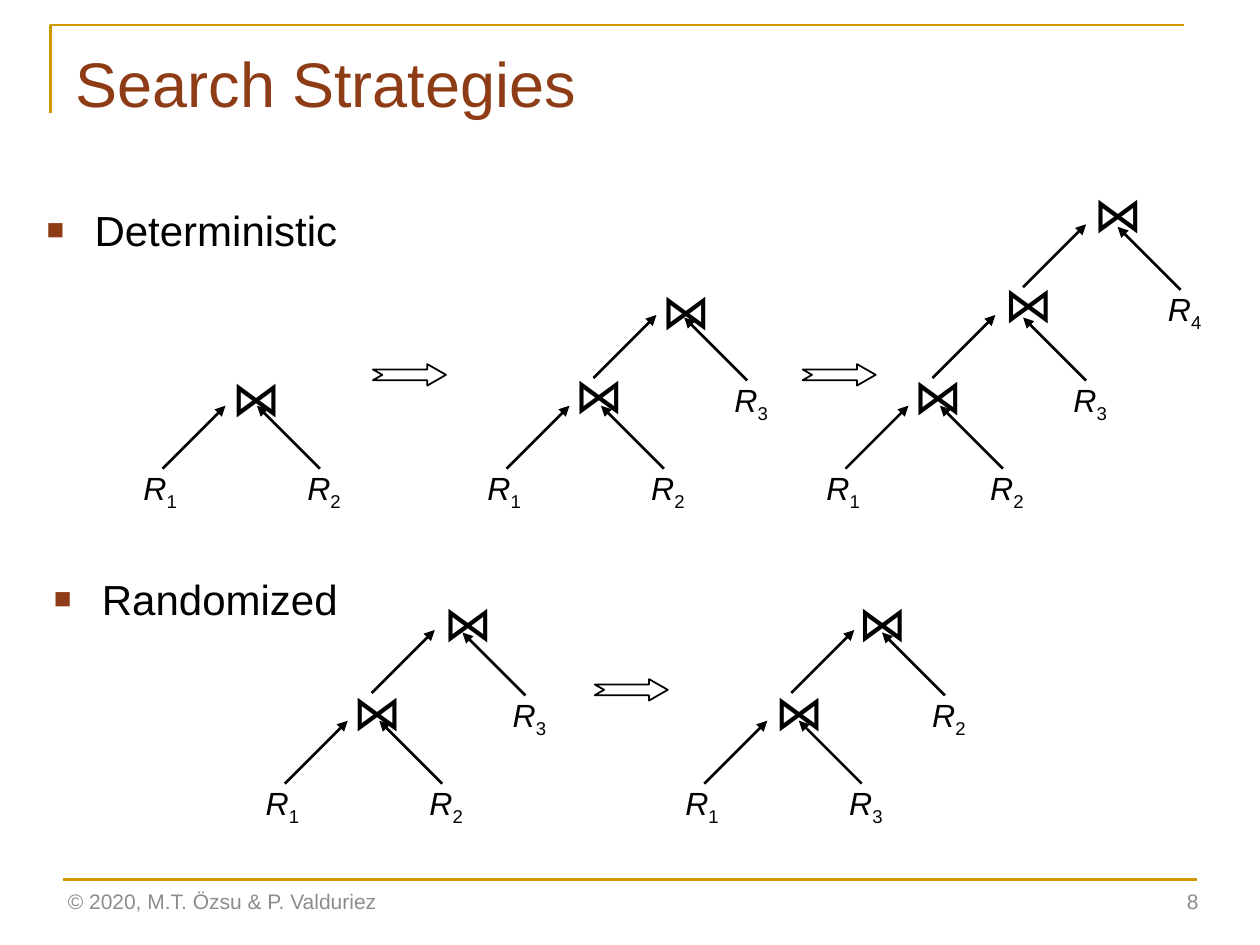
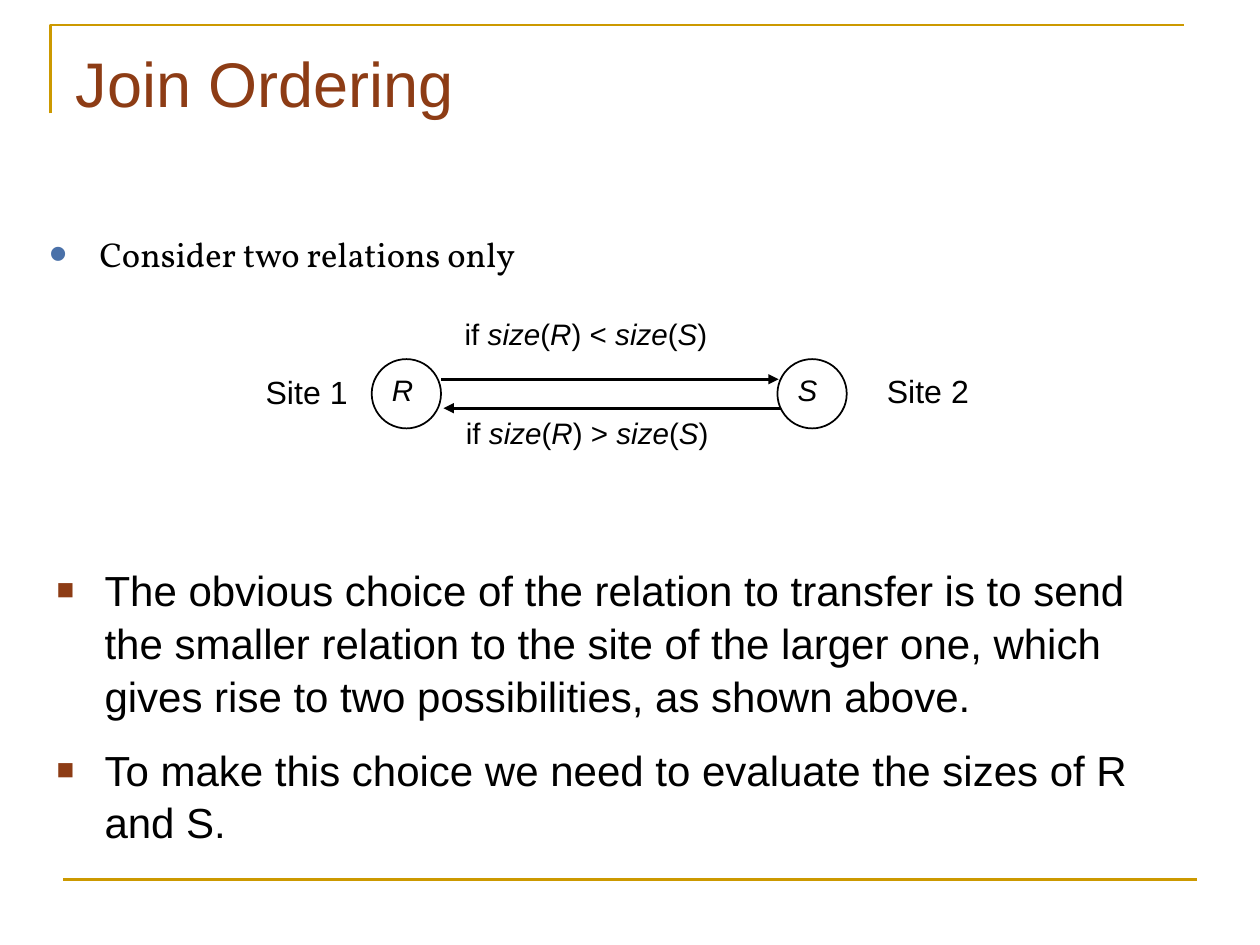
from pptx import Presentation
from pptx import util as u
from pptx.dml.color import RGBColor
from pptx.enum import shapes, text
from pptx.oxml import ns
from lxml import etree

RUST = RGBColor(0x8D, 0x3C, 0x15)
GOLD = RGBColor(0xCC, 0x99, 0x00)
BLACK = RGBColor(0x00, 0x00, 0x00)
GREY = RGBColor(0x8C, 0x8C, 0x8C)
BLUE = RGBColor(0x4A, 0x71, 0xA9)

deck = Presentation()
deck.slide_width, deck.slide_height = u.Inches(10), u.Inches(7.5)
CELL = deck.slide_width // 100
SIDES = ("left", "top", "width", "height")
LEFT, RIGHT = text.PP_ALIGN.LEFT, text.PP_ALIGN.RIGHT
TOP, MID = text.MSO_ANCHOR.TOP, text.MSO_ANCHOR.MIDDLE
GROW, FIXED = text.MSO_AUTO_SIZE.SHAPE_TO_FIT_TEXT, text.MSO_AUTO_SIZE.NONE
SQUARE = {"char": "■", "tint": RUST, "size": 70, "hang": 3.8}
ROUND = {"char": "•", "tint": BLUE, "size": 150, "hang": 4}


def write(page, spot, lines, size, box=None, tint=BLACK, face="Arial", dot=None,
          align=LEFT, pad=(1, 0.5), wrap=False, anchor=TOP, gap=0, lead=1.0):
    box = box or page.shapes.add_textbox(0, 0, 0, 0)
    frame = box.text_frame
    look = {"word_wrap": wrap, "auto_size": FIXED if wrap else GROW,
            "vertical_anchor": anchor,
            "margin_left": int(pad[0] * CELL), "margin_right": int(pad[0] * CELL),
            "margin_top": int(pad[1] * CELL), "margin_bottom": int(pad[1] * CELL)}
    for key, value in look.items():
        setattr(frame, key, value)
    for side, value in zip(SIDES, spot):
        setattr(box, side, int(value * CELL))
    for row, line in enumerate(lines):
        para = frame.add_paragraph() if row else frame.paragraphs[0]
        style = {"alignment": align, "space_before": u.Pt(gap), "line_spacing": lead}
        for key, value in style.items():
            setattr(para, key, value)
        if dot:
            props = para._p.get_or_add_pPr()
            props.set("marL", str(int(dot["hang"] * CELL)))
            props.set("indent", str(int(-dot["hang"] * CELL)))
            tone = etree.SubElement(props, ns.qn("a:buClr"))
            etree.SubElement(tone, ns.qn("a:srgbClr"), val=str(dot["tint"]))
            etree.SubElement(props, ns.qn("a:buSzPct"), val=str(dot["size"] * 1000))
            etree.SubElement(props, ns.qn("a:buFont"), typeface="Arial")
            etree.SubElement(props, ns.qn("a:buChar"), char=dot["char"])
        for turn, part in enumerate(line.split("|")):
            if not part:
                continue
            run = para.add_run()
            run.text = part.lstrip("_")
            font = {"name": face, "size": u.Pt(size), "italic": turn % 2 == 1}
            for key, value in font.items():
                setattr(run.font, key, value)
            run.font.color.rgb = tint
            props = run._r.get_or_add_rPr()
            if part.startswith("_"):
                props.set("baseline", "-25000")
            if face != "Arial":
                etree.SubElement(props, ns.qn("a:ea"), typeface=face)


def link(page, ends, tint=BLACK, tip=True):
    line = page.shapes.add_connector(
        shapes.MSO_CONNECTOR.STRAIGHT, *[int(n * CELL) for n in ends])
    line.line.color.rgb = tint
    line.line.width = u.Pt(1.5)
    if tip:
        etree.SubElement(line.line._get_or_add_ln(), ns.qn("a:tailEnd"), type="triangle")
    etree.SubElement(line._element.spPr, ns.qn("a:effectLst"))
    return line


base = deck.slide_layouts[1]
plan, order = [deck.slides.add_slide(base) for _ in range(2)]

pen = plan.shapes.build_freeform(4.2, 9.2, CELL)
pen.add_line_segments([(4.2, 2.5), (94.2, 2.5)], close=False)
bend = pen.convert_to_shape()
bend.fill.background()
bend.line.color.rgb = GOLD
bend.line.width = u.Pt(1.5)
bend.shadow.inherit = False
rule = link(plan, (5, 69.8, 95, 69.8), GOLD, False)
for part in (bend, rule):
    base.shapes._spTree.append(part._element)

heads = [(plan, "Search Strategies"), (order, "Join Ordering")]
for page, name in heads:
    write(page, (5, 3, 90, 12.5), [name], 36, page.shapes.title, RUST, wrap=True)

lists = [
    (plan, (2.7, 15.5, 26.8, 5.1), ["Deterministic"], plan.placeholders[1]),
    (plan, (3.3, 44.8, 26.8, 5.1), ["Randomized"], None),
    (order, (3.5, 44.1, 91.4, 22.1), [
        "The obvious choice of the relation to transfer is to send the smaller relation "
        "to the site of the larger one, which gives rise to two possibilities, as shown above.",
        "To make this choice we need to evaluate the sizes of R and S."],
     order.placeholders[1]),
]
for page, spot, lines, box in lists:
    write(page, spot, lines, 24, box, dot=SQUARE, wrap=True, gap=12, lead=1.05)

trees = [
    (10.4, 36.7, "12", [(17.4, 28.7)]),
    (37.7, 36.7, "123", [(44.6, 28.4), (51.5, 21.8)]),
    (64.6, 36.7, "1234", [(71.5, 28.5), (78.7, 21.2), (85.8, 14.1)]),
    (20.1, 61.7, "123", [(27, 53.6), (34.2, 46.5)]),
    (53.4, 61.7, "132", [(60.5, 53.6), (67.1, 46.5)]),
]
steps = [(2.5, 15, 0, 0), (9.4, 21.6, 7.2, 7), (16.6, 29.1, 14.4, 14.2)]
for x, y, names, joins in trees:
    tags = [(x, y)]
    for (near, far, up, rise), join in zip(steps, joins):
        foot = y + 0.5
        link(plan, (x + near, foot - up, x + near + 5, foot - up - 5))
        link(plan, (x + far, foot - rise, x + far - 5, foot - rise - 5))
        tags.append((x + far - 2, y - rise))
        write(plan, (*join, 4, 5.7), ["⋈"], 28.1, face="Noto Sans CJK JP")
    for digit, tag in zip(names, tags):
        write(plan, (*tag, 4.8, 4.1), [f"|R|_{digit}"], 18.3)

forms = [(plan, shapes.MSO_SHAPE.NOTCHED_RIGHT_ARROW, (x, y, 5.8, 1.7))
         for x, y in [(29.6, 28.9), (63.7, 28.9), (47.2, 53.9)]]
forms += [(order, shapes.MSO_SHAPE.OVAL, (x, 28.5, 5.5, 5.5)) for x in (29.5, 61.7)]
for page, kind, spot in forms:
    form = page.shapes.add_shape(kind, *[int(n * CELL) for n in spot])
    form.fill.background()
    form.line.color.rgb = BLACK
    form.line.width = u.Pt(1)
    form.shadow.inherit = False
    if page is plan:
        form.adjustments[1] = 0.875

for spot, line, side in [((4.4, 69.5, 33.8, 4), "© 2020, M.T. Özsu & P. Valduriez", LEFT),
                         ((73.6, 69.5, 22.5, 4), "8", RIGHT)]:
    write(plan, spot, [line], 12, tint=GREY, align=side, wrap=True, anchor=MID)

write(order, (3.5, 18.1, 93.4, 4.1), ["Consider two relations only"], 19.7,
      face="Vollkorn", dot=ROUND, pad=(0.4, 0.4), wrap=True)
for x, name in [(30.4, "R"), (62.6, "S")]:
    write(order, (x, 29.2, 3.1, 3.5), [f"|{name}|"], 16.9, pad=(0.7, 0.3))
for x, y, sign in [(35.9, 24.6, "<"), (36, 32.4, ">")]:
    write(order, (x, y, 21.3, 3.8), [f"if |size|(|R|) {sign} |size|(|S|)"], 16.9)
for x, y, name in [(20.1, 29.1, "Site 1"), (69.4, 29, "Site 2")]:
    write(order, (x, y, 8.6, 4.1), [name], 18.3)
for ends in [(35, 30.1, 61.8, 30.1), (62, 32.4, 35.2, 32.4)]:
    link(order, ends)

deck.save("out.pptx")
